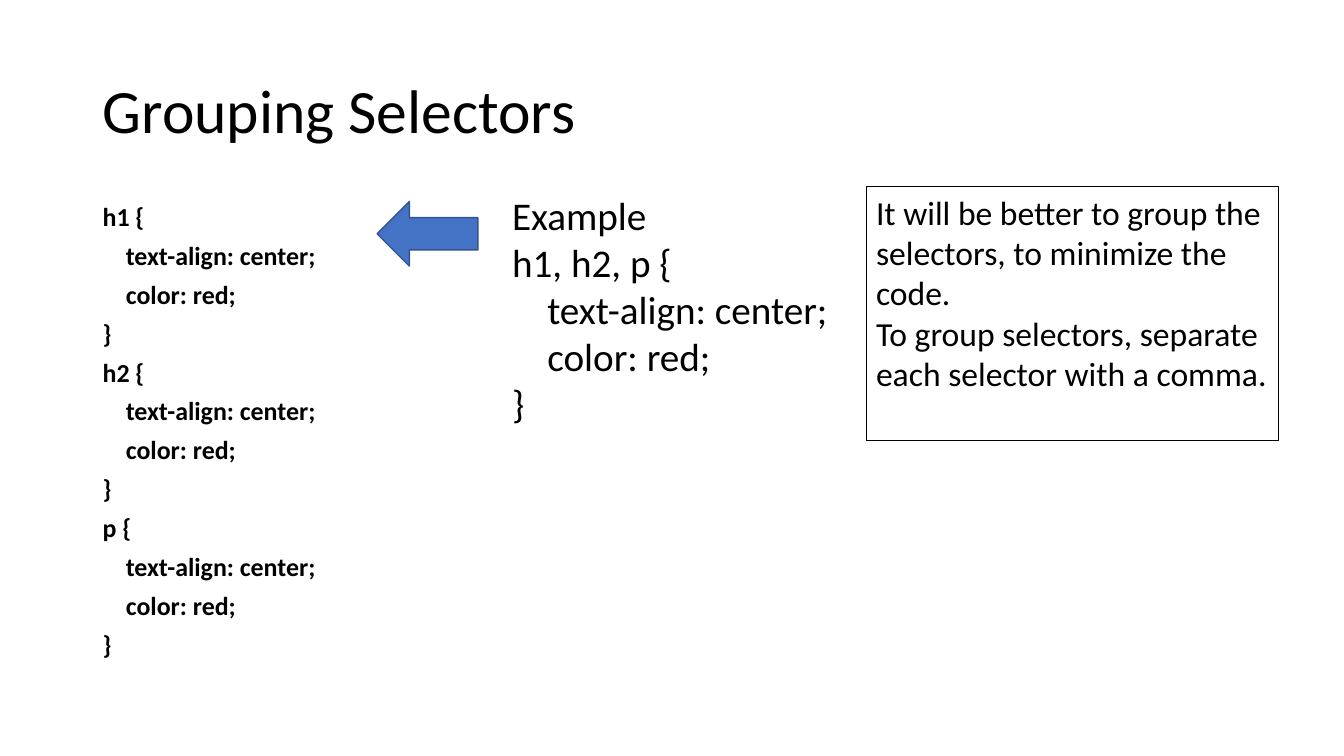
from pptx import Presentation
from pptx.dml.color import RGBColor
from pptx.enum.shapes import MSO_SHAPE
from pptx.enum.text import MSO_ANCHOR, MSO_AUTO_SIZE, PP_ALIGN
from pptx.util import Inches, Pt

LEFT_ARROW, RECTANGLE = MSO_SHAPE.LEFT_ARROW, MSO_SHAPE.RECTANGLE
TOP, MIDDLE = MSO_ANCHOR.TOP, MSO_ANCHOR.MIDDLE
LEFT = PP_ALIGN.LEFT
NO_AUTOFIT = MSO_AUTO_SIZE.NONE

MARGIN = 0.92
CONTENT_WIDTH = 11.5
BOX_TOP = 1.85
BODY_TOP = 2
DECLARATIONS = ["\ttext-align: center;", "\tcolor: red;", "}"]


def color(hex_string):
    return RGBColor.from_string(hex_string)


def write_lines(shape, lines, size, bold=False, spacing=1.0, before=0, indent=0, anchor=TOP):
    """Fill a shape with one paragraph per line; a leading tab marks an indented line."""
    frame = shape.text_frame
    frame.word_wrap = True
    frame.auto_size = NO_AUTOFIT
    frame.vertical_anchor = anchor
    frame.text = "\n".join(line.lstrip("\t") for line in lines)
    for line, paragraph in zip(lines, frame.paragraphs):
        paragraph.alignment = LEFT
        paragraph.line_spacing = spacing
        paragraph.space_before = Pt(before)
        if line.startswith("\t"):
            paragraph._p.get_or_add_pPr().set("marL", str(Inches(indent)))
        font = paragraph.runs[0].font
        font.name, font.size, font.bold = "Calibri", Pt(size), bold
        font.color.rgb = color("000000")


presentation = Presentation()
presentation.slide_width, presentation.slide_height = Inches(13.33), Inches(7.5)
slide = presentation.slides.add_slide(presentation.slide_layouts[5])

# Title
title = slide.shapes.title
title.left, title.top = Inches(MARGIN), Inches(0.4)
title.width, title.height = Inches(CONTENT_WIDTH), Inches(1.45)
write_lines(title, ["Grouping Selectors"], 44, spacing=0.9, anchor=MIDDLE)

# Separate rules, one per selector
separate_rules = slide.shapes.add_textbox(
    Inches(MARGIN), Inches(BODY_TOP), Inches(CONTENT_WIDTH), Inches(4.76))
rule_lines = [line for selector in ("h1", "h2", "p")
              for line in [f"{selector} {{"] + DECLARATIONS]
write_lines(separate_rules, rule_lines, 18.5, bold=True, spacing=0.8, before=10, indent=0.23)

# Grouped rule
grouped_rule = slide.shapes.add_textbox(
    Inches(4.98), Inches(BOX_TOP), Inches(3.38), Inches(2.76))
write_lines(grouped_rule, ["Example", "h1, h2, p {"] + DECLARATIONS, 28, indent=0.35)

# Arrow and explanation
arrow = slide.shapes.add_shape(
    LEFT_ARROW, Inches(3.74), Inches(BODY_TOP), Inches(1), Inches(0.64))
explanation = slide.shapes.add_shape(
    RECTANGLE, Inches(8.59), Inches(BOX_TOP), Inches(4.09), Inches(2.52))
for shape, fill, line, width in [(arrow, "4472C4", "325491", 1),
                                 (explanation, "FFFFFF", "000000", 0.25)]:
    shape.shadow.inherit = False
    shape.fill.solid()
    shape.fill.fore_color.rgb = color(fill)
    shape.line.color.rgb = color(line)
    shape.line.width = Pt(width)
write_lines(explanation, [
    "It will be better to group the selectors, to minimize the code.",
    "To group selectors, separate each selector with a comma.",
], 24)

presentation.save("out.pptx")
